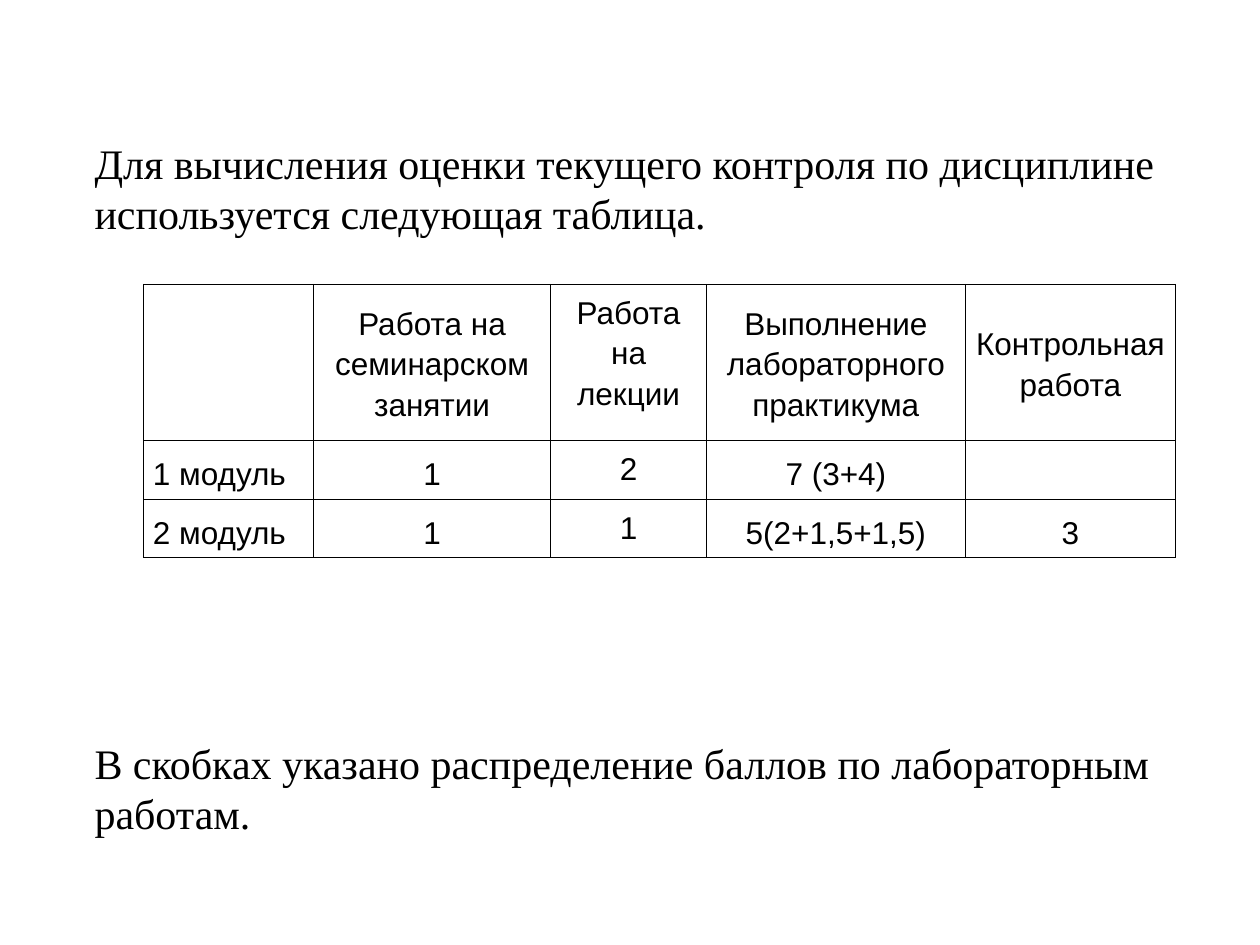
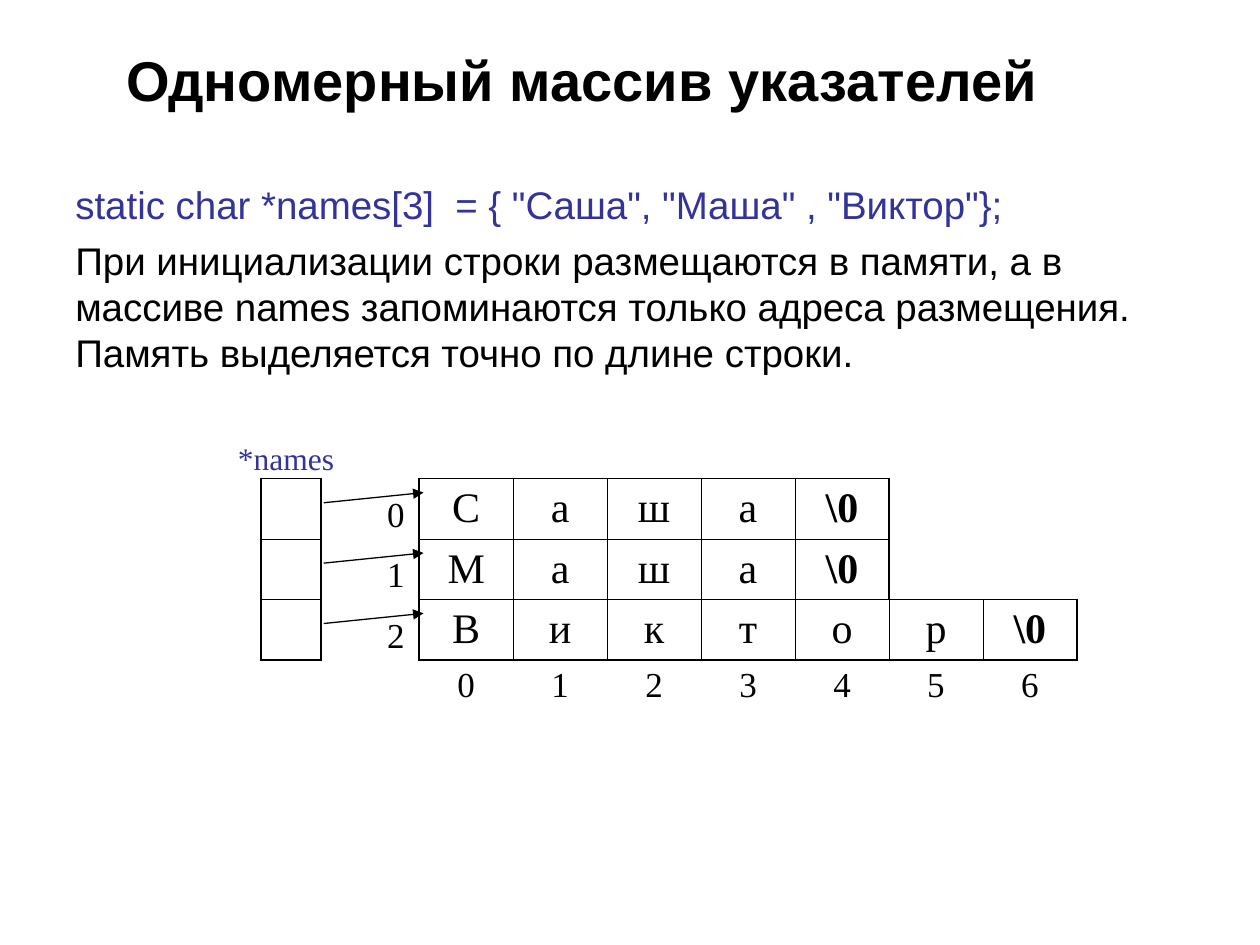
from dataclasses import dataclass

from lxml import etree
from pptx import Presentation
from pptx.dml.color import RGBColor
from pptx.enum.shapes import MSO_CONNECTOR
from pptx.enum.text import MSO_ANCHOR, PP_ALIGN
from pptx.oxml.ns import qn
from pptx.util import Pt

STRAIGHT = MSO_CONNECTOR.STRAIGHT
TOP, MIDDLE, BOTTOM = MSO_ANCHOR.TOP, MSO_ANCHOR.MIDDLE, MSO_ANCHOR.BOTTOM
LEFT, CENTER = PP_ALIGN.LEFT, PP_ALIGN.CENTER


@dataclass(frozen=True)
class Theme:
    ink: RGBColor = RGBColor(0x00, 0x00, 0x00)
    accent: RGBColor = RGBColor(0x33, 0x33, 0x99)
    sans: str = "Arial"
    serif: str = "Times New Roman"
    title: float = 32
    note: float = 24
    body: float = 22
    index: float = 20
    small: float = 18
    thin: float = 0.45
    arrow: float = 0.75
    thick: float = 1.08


THEME = Theme()

GRADING_NOTES = [
    (72.7, "Для вычисления оценки текущего контроля по дисциплине используется следующая таблица."),
    (415.4, "В скобках указано распределение баллов по лабораторным работам."),
]
GRADES = [
    ["", "Работа на семинарском занятии", "Работа на лекции",
     "Выполнение лабораторного практикума", "Контрольная работа"],
    ["1 модуль", "1", "2", "7 (3+4)", ""],
    ["2 модуль", "1", "1", "5(2+1,5+1,5)", "3"],
]
GRADE_COLUMNS = [97.2, 135.4, 89.2, 147.8, 120.2]
GRADE_ROWS = [89.3, 33.4, 33.4]
GRADE_INSETS = (5.4, 3.6)

HEADING = "Одномерный массив указателей"
DECLARATION = 'static char *names[3]  = { "Саша", "Маша" , "Виктор"};'
EXPLANATION = ("При инициализации строки размещаются в памяти, а в массиве names "
               "запоминаются только адреса размещения. Память выделяется точно по длине строки.")
ARRAY_NAME = "*names"
NAMES = ["Саша", "Маша", "Виктор"]
TERMINATOR = r"\0"

LEAD_COLUMNS = [33.6, 62.2, 34.3, 29.5, 26.6]
POINTER_COLUMN, NUMBER_COLUMN, FIRST_LETTER = 2, 4, 5
LETTER_WIDTH = 53.7
NAME_HEIGHT, INDEX_HEIGHT = 34.5, 29.6
MEMORY_LEFT, MEMORY_TOP = 53.4, 273.5
MEMORY_INSETS = (2.9, 2.4)


def style(paragraph, size, font, color=THEME.ink, bold=False, align=LEFT):
    paragraph.alignment = align
    for run in paragraph.runs:
        run.font.size, run.font.name, run.font.bold = Pt(size), font, bold
        run.font.color.rgb = color


def add_text(slide, box, lines, size, font, insets=(7.2, 3.6, 7.2, 3.6),
             anchor=TOP, align=LEFT, bold=False, gap=0):
    frame = slide.shapes.add_textbox(*map(Pt, box)).text_frame
    frame.word_wrap = True
    frame.vertical_anchor = anchor
    (frame.margin_left, frame.margin_top,
     frame.margin_right, frame.margin_bottom) = map(Pt, insets)
    frame.text = "\n".join(text for text, _ in lines)
    for number, (paragraph, (_, color)) in enumerate(zip(frame.paragraphs, lines)):
        style(paragraph, size, font, color, bold, align)
        if number:
            paragraph.space_before = Pt(gap)


def add_grid(slide, left, top, columns, rows):
    table = slide.shapes.add_table(
        len(rows), len(columns), Pt(left), Pt(top), Pt(sum(columns)), Pt(sum(rows))).table
    table.first_row = table.horz_banding = False
    for column, width in zip(table.columns, columns):
        column.width = Pt(width)
    for row, height in zip(table.rows, rows):
        row.height = Pt(height)
    return table


def fill_cell(cell, text, size, font, insets, anchor, align=CENTER, bold=False):
    side, end = map(Pt, insets)
    cell.margin_left = cell.margin_right = side
    cell.margin_top = cell.margin_bottom = end
    cell.vertical_anchor = anchor
    cell.text = text
    style(cell.text_frame.paragraphs[0], size, font, bold=bold, align=align)


def outline(table, boxed, outer):
    sides = {"lnL": (0, -1), "lnR": (0, 1), "lnT": (-1, 0), "lnB": (1, 0)}
    for r in range(len(table.rows)):
        for c in range(len(table.columns)):
            cell = table.cell(r, c)
            properties = cell._tc.get_or_add_tcPr()
            for tag, (down, across) in sides.items():
                touching = ((r, c) in boxed) + ((r + down, c + across) in boxed)
                line = etree.SubElement(properties, qn("a:" + tag))
                if touching:
                    line.set("w", str(Pt(THEME.thin if touching == 2 else outer)))
                    solid = etree.SubElement(line, qn("a:solidFill"))
                    etree.SubElement(solid, qn("a:srgbClr")).set("val", str(THEME.ink))
                else:
                    etree.SubElement(line, qn("a:noFill"))
            cell.fill.background()


def add_arrow(slide, start, end):
    arrow = slide.shapes.add_connector(STRAIGHT, *map(Pt, start + end))
    arrow.line.color.rgb = THEME.ink
    arrow.line.width = Pt(THEME.arrow)
    etree.SubElement(arrow.line._get_or_add_ln(), qn("a:tailEnd")).set("type", "triangle")
    etree.SubElement(arrow._element.spPr, qn("a:effectLst"))


def build_grading(slide):
    for top, note in GRADING_NOTES:
        add_text(slide, (25.2, top, 646.6, 95.8), [(note, THEME.ink)],
                 THEME.note, THEME.serif, insets=(28.8, 5.8, 7.2, 2.9))
    table = add_grid(slide, 82, 162.4, GRADE_COLUMNS, GRADE_ROWS)
    for r, row in enumerate(GRADES):
        for c, text in enumerate(row):
            anchor = TOP if c == 2 else BOTTOM if r else MIDDLE
            cell = table.cell(r, c)
            fill_cell(cell, text, THEME.small, THEME.sans, GRADE_INSETS, anchor,
                      CENTER if c else LEFT)
            cell.text_frame.paragraphs[0].line_spacing = 1.15
    everywhere = {(r, c) for r in range(len(GRADE_ROWS)) for c in range(len(GRADE_COLUMNS))}
    outline(table, everywhere, THEME.thin)


def build_pointers(slide):
    add_text(slide, (36, 0, 648, 90), [(HEADING, THEME.ink)], THEME.title, THEME.sans,
             insets=(7.2, 3.6, 62, 3.6), anchor=MIDDLE, align=CENTER, bold=True)
    add_text(slide, (36, 100, 648, 124.6),
             [(DECLARATION, THEME.accent), (EXPLANATION, THEME.ink)],
             THEME.body, THEME.sans, gap=5.5)

    letter_count = max(map(len, NAMES)) + 1
    index_row = len(NAMES)
    table = add_grid(slide, MEMORY_LEFT, MEMORY_TOP,
                     LEAD_COLUMNS + [LETTER_WIDTH] * letter_count,
                     [NAME_HEIGHT] * index_row + [INDEX_HEIGHT])
    boxed = set()
    for r, name in enumerate(NAMES):
        boxed.add((r, POINTER_COLUMN))
        fill_cell(table.cell(r, NUMBER_COLUMN), str(r), THEME.index, THEME.serif,
                  MEMORY_INSETS, BOTTOM)
        for c, letter in enumerate([*name, TERMINATOR], FIRST_LETTER):
            boxed.add((r, c))
            fill_cell(table.cell(r, c), letter, THEME.note, THEME.serif,
                      MEMORY_INSETS, MIDDLE, bold=letter == TERMINATOR)
    for i in range(letter_count):
        fill_cell(table.cell(index_row, FIRST_LETTER + i), str(i),
                  THEME.index, THEME.serif, MEMORY_INSETS, MIDDLE)
    outline(table, boxed, THEME.thick)

    for r in range(len(NAMES)):
        row_top = MEMORY_TOP + r * NAME_HEIGHT
        add_arrow(slide, (185, row_top + 13.8), (242, row_top + 8))
    add_text(slide, (128.9, 247.4, 80, 28.8), [(ARRAY_NAME, THEME.accent)],
             THEME.small, THEME.serif)


def main():
    deck = Presentation()
    deck.slide_width, deck.slide_height = Pt(720), Pt(540)
    blank = deck.slide_layouts[6]
    for build in (build_grading, build_pointers):
        build(deck.slides.add_slide(blank))
    deck.save("out.pptx")


if __name__ == "__main__":
    main()
